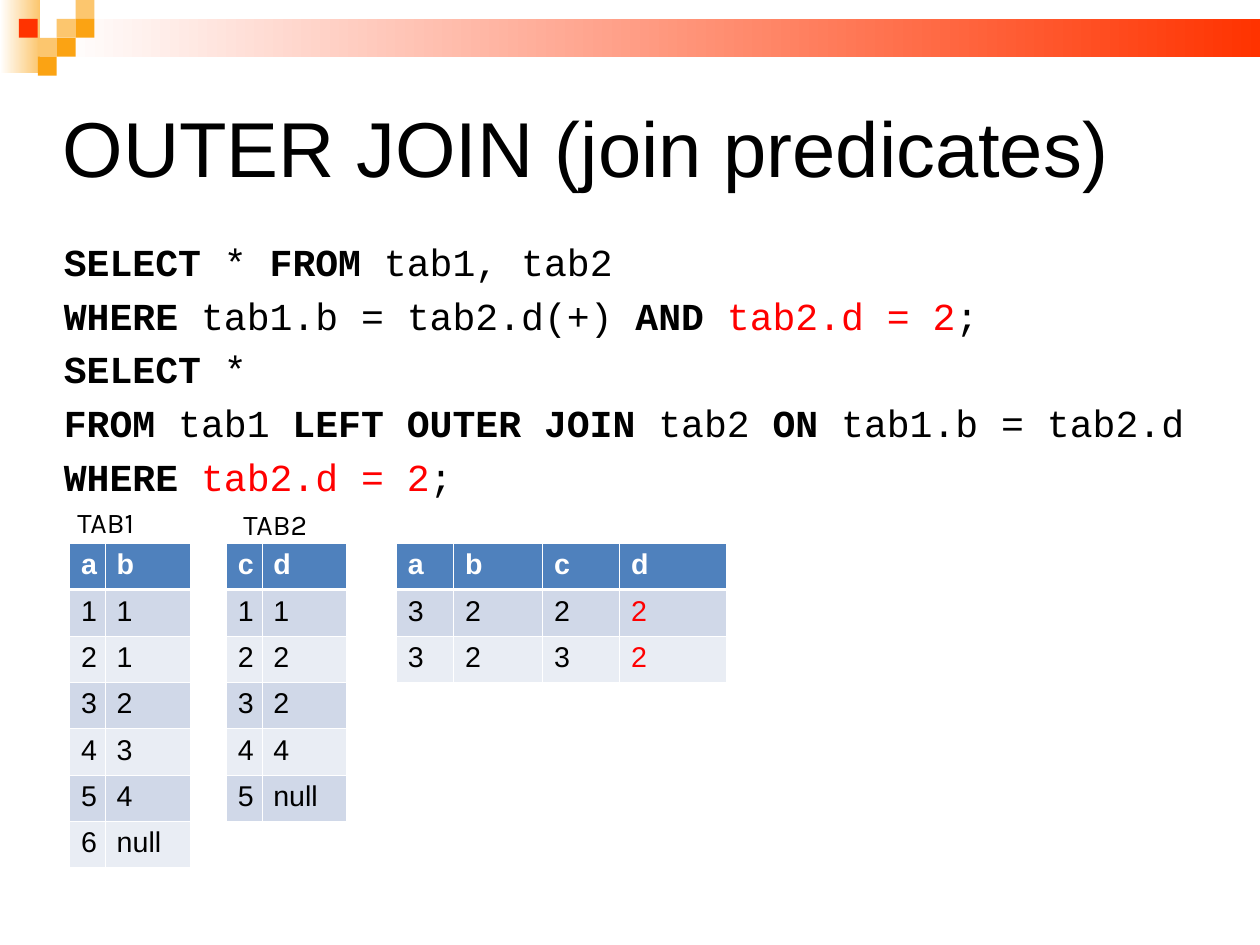
from dataclasses import dataclass
from typing import NamedTuple

from lxml.etree import SubElement
from pptx import Presentation
from pptx.dml.color import RGBColor
from pptx.enum.shapes import MSO_SHAPE
from pptx.enum.text import MSO_ANCHOR
from pptx.oxml.ns import qn
from pptx.util import Cm, Pt


@dataclass(frozen=True)
class Theme:
    black: str = "000000"
    white: str = "FFFFFF"
    red: str = "FF0000"
    flame: str = "FF3300"
    amber: str = "FBA313"
    sand: str = "FCC66E"
    header: str = "4F81BD"
    bands: tuple = ("D0D8E8", "E9EDF4")
    title_size: float = 49
    code_size: float = 24
    text_size: float = 18
    thin: float = 0.45
    thick: float = 1.47


THEME = Theme()


class Box(NamedTuple):
    left: float
    top: float
    width: float
    height: float

    def cm(self) -> tuple:
        return tuple(Cm(v) for v in self)


class Run(NamedTuple):
    text: str
    bold: bool = False
    color: str = THEME.black


class Square(NamedTuple):
    col: int
    row: int
    color: str


@dataclass(frozen=True)
class Grid:
    left: float
    widths: tuple
    rows: tuple
    red_col: int = -1


def key(text: str) -> Run:
    return Run(text, bold=True)


def red(text: str) -> Run:
    return Run(text, color=THEME.red)


SQUARE = 0.42
SQUARES = (
    Square(3, 1, THEME.sand), Square(4, 0, THEME.sand), Square(4, 1, THEME.amber),
    Square(2, 2, THEME.sand), Square(1, 1, THEME.flame), Square(3, 2, THEME.amber),
    Square(2, 3, THEME.amber),
)
FADES = ((Box(0, 0, 0.89, 1.63), THEME.sand), (Box(1.27, 0.42, 26.73, 0.84), THEME.flame))

QUERY = (
    (key("SELECT "), Run("* "), key("FROM "), Run("tab1, tab2")),
    (key("WHERE"), Run(" tab1.b = tab2.d(+) "), key("AND "), red("tab2.d = 2"), Run(";")),
    (key("SELECT "), Run("*")),
    (key("FROM "), Run("tab1 "), key("LEFT OUTER JOIN"), Run(" tab2 "), key("ON "),
     Run("tab1.b = tab2.d")),
    (key("WHERE "), red("tab2.d = 2"), Run(";")),
)

GRID_TOP = 12.07
ROW_HEIGHT = 1.03
GRIDS = (
    Grid(1.55, (0.79, 1.88),
         ("ab", "11", "21", "32", "43", "54", ("6", "null"))),
    Grid(5.03, (0.79, 1.88),
         ("cd", "11", "22", "32", "44", ("5", "null"))),
    Grid(8.81, (1.27, 1.98, 1.71, 2.38), ("abcd", "3222", "3232"), red_col=3),
)
LABELS = (("TAB1", Box(1.47, 11.1, 2.16, 1.02)), ("TAB2", Box(5.16, 11.13, 2.16, 1.02)))


def rgb(color: str) -> RGBColor:
    return RGBColor.from_string(color)


def add_rect(slide, box: Box):
    sp = slide.shapes.add_shape(MSO_SHAPE.RECTANGLE, *box.cm())
    sp.shadow.inherit = False
    sp.line.fill.background()
    return sp


def add_fade(slide, box: Box, color: str) -> None:
    """Draw a rectangle fading from colour at the right to white at the left."""
    fill = add_rect(slide, box).fill
    fill.gradient()
    fill.gradient_angle = 180
    for stop, value, position in zip(fill.gradient_stops, (color, THEME.white), (0, 1)):
        stop.color.rgb = rgb(value)
        stop.position = position


def add_square(slide, square: Square) -> None:
    sp = add_rect(slide, Box(square.col * SQUARE, square.row * SQUARE, SQUARE, SQUARE))
    sp.fill.solid()
    sp.fill.fore_color.rgb = rgb(square.color)


def add_run(p, run: Run, font: str, size: float) -> None:
    r = p.add_run()
    r.text = run.text
    for name, value in {"name": font, "size": Pt(size), "bold": run.bold}.items():
        setattr(r.font, name, value)
    r.font.color.rgb = rgb(run.color)


def add_text(slide, box: Box, lines: tuple, font: str, size: float,
             frame_format: dict, line_format: dict, space: float = 0) -> None:
    tf = slide.shapes.add_textbox(*box.cm()).text_frame
    for name, value in {"word_wrap": True, **frame_format}.items():
        setattr(tf, name, value)
    for i, runs in enumerate(lines):
        p = tf.add_paragraph() if i else tf.paragraphs[0]
        for name, value in line_format.items():
            setattr(p, name, value)
        if i:
            p.space_before = Pt(space)
        for run in runs:
            add_run(p, run, font, size)


def set_borders(cell, top: float, bottom: float) -> None:
    tc_pr = cell._tc.get_or_add_tcPr()
    widths = {"a:lnL": THEME.thin, "a:lnR": THEME.thin, "a:lnT": top, "a:lnB": bottom}
    for tag, width in widths.items():
        ln = SubElement(tc_pr, qn(tag), w=str(Pt(width)))
        SubElement(SubElement(ln, qn("a:solidFill")), qn("a:srgbClr"), val=THEME.white)


def add_grid(slide, grid: Grid) -> None:
    n = len(grid.rows)
    box = Box(grid.left, GRID_TOP, sum(grid.widths), n * ROW_HEIGHT)
    table = slide.shapes.add_table(n, len(grid.widths), *box.cm()).table
    table.first_row = table.horz_banding = False
    for column, width in zip(table.columns, grid.widths):
        column.width = Cm(width)
    for i, values in enumerate(grid.rows):
        table.rows[i].height = Cm(ROW_HEIGHT)
        for j, value in enumerate(values):
            cell = table.cell(i, j)
            set_borders(cell, THEME.thick if i == 1 else THEME.thin,
                        THEME.thick if i == 0 else THEME.thin)
            cell.fill.solid()
            cell.fill.fore_color.rgb = rgb(THEME.bands[(i - 1) % 2] if i else THEME.header)
            if i == 0:
                run = Run(value, bold=True, color=THEME.white)
            else:
                run = red(value) if j == grid.red_col else Run(value)
            add_run(cell.text_frame.paragraphs[0], run, "Arial", THEME.text_size)


def main() -> None:
    prs = Presentation()
    prs.slide_width, prs.slide_height = Cm(28), Cm(21)
    s = prs.slides.add_slide(prs.slide_layouts[6])
    for box, color in FADES:
        add_fade(s, box, color)
    for square in SQUARES:
        add_square(s, square)

    no_margins = dict.fromkeys(
        ("margin_left", "margin_top", "margin_right", "margin_bottom"), 0)
    tight = {"line_spacing": 0.87}
    add_text(s, Box(1.4, 1.3, 25.2, 4.19), ((Run("OUTER JOIN (join predicates)"),),),
             "Arial", THEME.title_size,
             {"vertical_anchor": MSO_ANCHOR.MIDDLE, **no_margins}, tight)
    add_text(s, Box(1.17, 5.31, 25.63, 12.98), QUERY, "Courier New", THEME.code_size,
             {}, tight, space=8.8)
    for grid in GRIDS:
        add_grid(s, grid)
    for label, box in LABELS:
        add_text(s, box, ((Run(label),),), "Karla", THEME.text_size, {}, {})
    prs.save("out.pptx")


if __name__ == "__main__":
    main()
